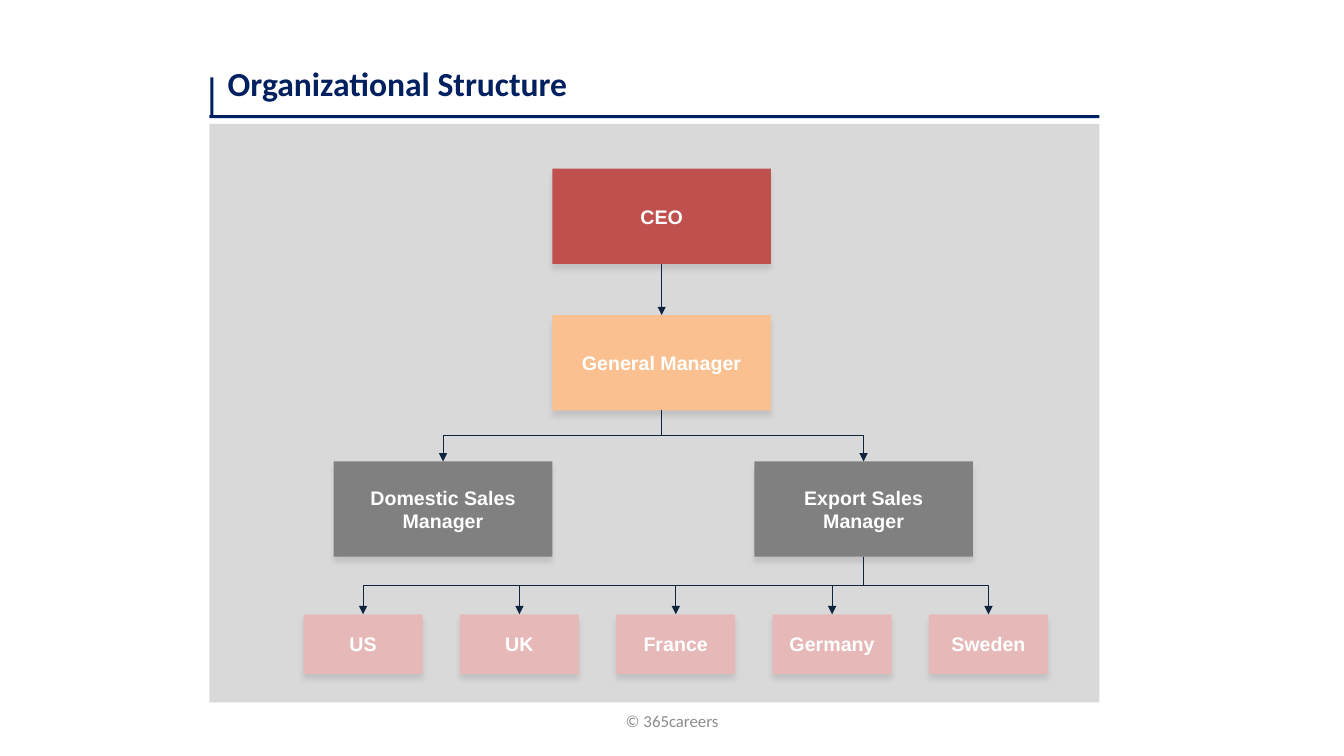
from lxml import etree
from pptx import Presentation
from pptx import util as u
from pptx.dml.color import RGBColor
from pptx.enum import shapes, text
from pptx.oxml import parse_xml
from pptx.oxml.ns import qn

NS = 'xmlns:a="http://schemas.openxmlformats.org/drawingml/2006/main"'
NAVY, PANEL, LINE, WHITE = "002060", "D9D9D9", "0F243E", "FFFFFF"
SHADOW = (f'<a:effectLst {NS}><a:outerShdw blurRad="50800" dist="50800" dir="5400000" '
          'rotWithShape="0"><a:srgbClr val="000000"><a:alpha val="10000"/></a:srgbClr>'
          '</a:outerShdw></a:effectLst>')


def rgb(hex_string):
    return RGBColor.from_string(hex_string)


def add_text(sp, words, size, font, color, bold=False, align=None,
             anchor=text.MSO_ANCHOR.MIDDLE):
    tf = sp.text_frame
    tf.word_wrap = True
    tf.vertical_anchor = anchor
    p = tf.paragraphs[0]
    p.alignment = align
    r = p.add_run()
    r.text = words
    r.font.size, r.font.name, r.font.bold = u.Pt(size), font, bold
    r.font.color.rgb = rgb(color)


def add_rect(s, x, y, w, h, fill):
    sp = s.shapes.add_shape(shapes.MSO_SHAPE.RECTANGLE,
                            u.Cm(x), u.Cm(y), u.Cm(w), u.Cm(h))
    sp.shadow.inherit = False
    sp.fill.solid()
    sp.fill.fore_color.rgb = rgb(fill)
    sp.line.fill.background()
    return sp


def add_label(s, x, y, w, h, words, size, color, **style):
    sp = s.shapes.add_textbox(u.Cm(x), u.Cm(y), u.Cm(w), u.Cm(h))
    add_text(sp, words, size, "Calibri", color, **style)


def add_role(s, x, y, w, h, words, fill):
    sp = add_rect(s, x, y, w, h, fill)
    spPr = sp._element.spPr
    spPr.replace(spPr.find(qn("a:effectLst")), parse_xml(SHADOW))
    add_text(sp, words, 14, "Arial", WHITE, True, text.PP_ALIGN.CENTER)
    return sp


def add_arrow(s, boss, report):
    x1, y1 = boss.left + boss.width // 2, boss.top + boss.height
    x2, y2 = report.left + report.width // 2, report.top
    bent = x1 != x2
    kind = shapes.MSO_CONNECTOR.ELBOW if bent else shapes.MSO_CONNECTOR.STRAIGHT
    cxn = s.shapes.add_connector(kind, x1, y1, x2, y2)
    cxn.begin_connect(boss, 2)
    cxn.end_connect(report, 0)
    spPr = cxn._element.spPr
    if bent:
        # Turn the elbow so that it leaves downwards
        drop, span = y2 - y1, abs(x2 - x1)
        cxn.left, cxn.top = (x1 + x2 - drop) // 2, (y1 + y2 - span) // 2
        cxn.width, cxn.height = drop, span
        xfrm = spPr.find(qn("a:xfrm"))
        xfrm.set("rot", "5400000" if x2 < x1 else "16200000")
        xfrm.set("flipH", "0" if x2 < x1 else "1")
        xfrm.set("flipV", "0")
    cxn.line.width = u.Pt(0.75)
    cxn.line.color.rgb = rgb(LINE)
    etree.SubElement(spPr.find(qn("a:ln")), qn("a:tailEnd"), type="triangle")
    etree.SubElement(spPr, qn("a:effectLst"))


def main():
    prs = Presentation()
    prs.slide_width, prs.slide_height = u.Cm(33.87), u.Cm(19.05)
    s = prs.slides.add_slide(prs.slide_layouts[6])

    # Panel, title with its rules, footer
    add_rect(s, 5.28, 3.12, 22.43, 14.58, PANEL)
    add_label(s, 5.49, 1.47, 18.62, 1.27, "Organizational Structure", 24, NAVY,
              bold=True, anchor=text.MSO_ANCHOR.TOP)
    add_rect(s, 5.28, 2.9, 22.43, 0.08, NAVY)
    add_rect(s, 5.3, 1.95, 0.08, 1.02, NAVY)
    add_label(s, 11.58, 17.65, 10.72, 1.02, "© 365careers", 12, "8C8C8C",
              align=text.PP_ALIGN.CENTER)

    # Management levels
    top, step, w, h = 4.25, 3.69, 5.51, 2.4
    ceo = add_role(s, 13.92, top, w, h, "CEO", "C0504D")
    general = add_role(s, 13.92, top + step, w, h, "General Manager", "FAC090")
    export = add_role(s, 19.01, top + 2 * step, w, h, "Export Sales Manager", "808080")
    domestic = add_role(s, 8.41, top + 2 * step, w, h, "Domestic Sales Manager", "808080")

    # Export markets
    markets = [add_role(s, 7.65 + i * 3.94, 15.48, 3, 1.5, name, "E6B9B8")
               for i, name in enumerate(["US", "UK", "France", "Germany", "Sweden"])]

    # Reporting lines
    for boss, reports in [(ceo, [general]), (general, [domestic, export]),
                          (export, markets)]:
        for report in reports:
            add_arrow(s, boss, report)

    prs.save("out.pptx")


if __name__ == "__main__":
    main()
